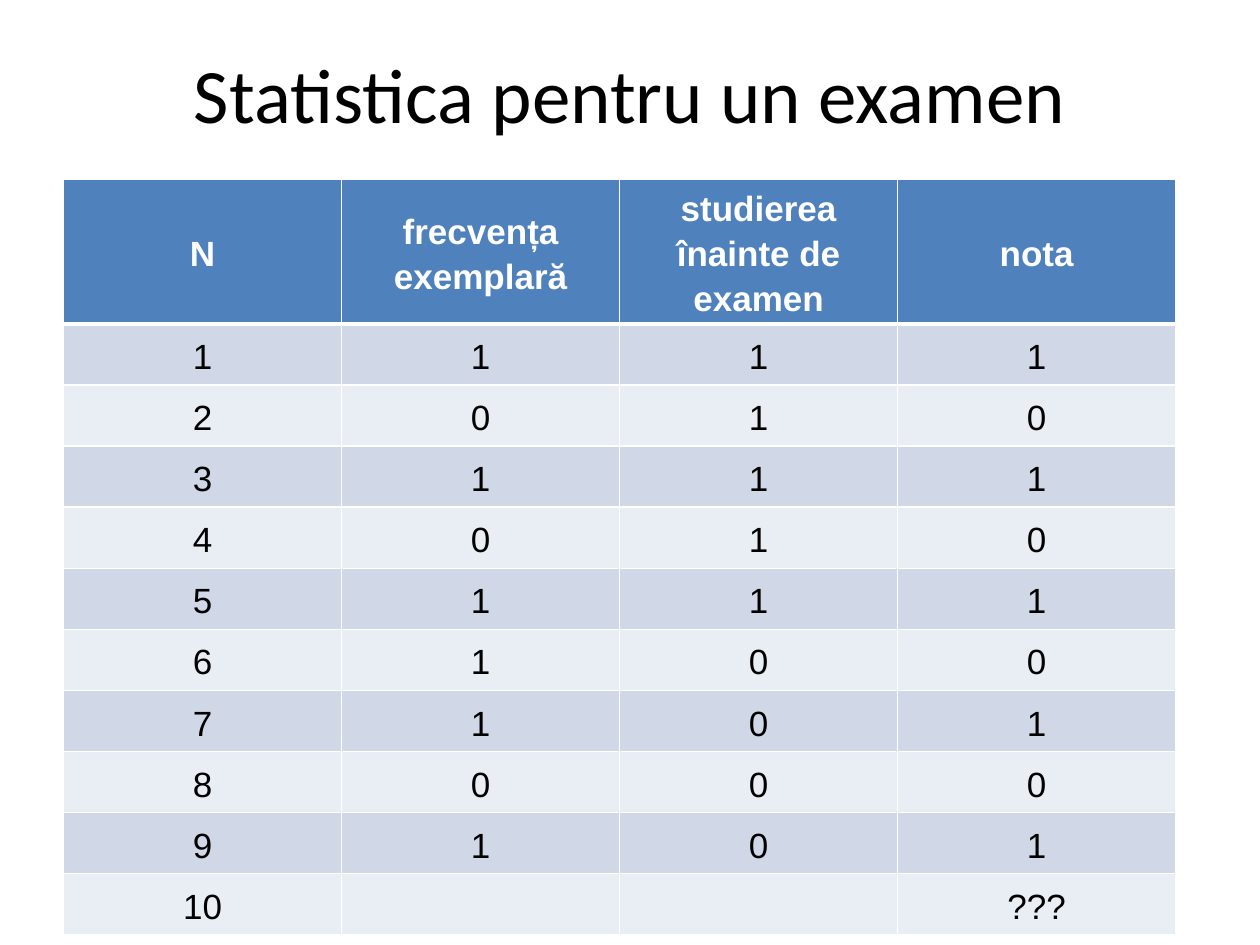
from pptx import Presentation
from pptx.dml.color import RGBColor
from pptx.enum.text import MSO_ANCHOR as Anchor, PP_ALIGN as Align
from pptx.oxml.ns import qn
from pptx.util import Pt
from lxml.etree import SubElement

HEADINGS = ["N", "frecvența exemplară", "studierea înainte de examen", "nota"]
EXAMS = [
    "1 1 1", "0 1 0", "1 1 1", "0 1 0", "1 1 1",
    "1 0 0", "1 0 1", "0 0 0", "1 0 1",
]
WHITE, BLACK = "FFFFFF", "000000"
HEADER_FILL, BAND_FILLS = "4F81BD", ("D0D8E8", "E9EDF4")


def color(hex_code):
    """Turn a hex string into a colour."""
    return RGBColor.from_string(hex_code)


def write(frame, text, size, font, hex_code, bold=False):
    """Write one centred run and return its paragraph."""
    paragraph = frame.paragraphs[0]
    paragraph.alignment = Align.CENTER
    run = paragraph.add_run()
    run.text = text
    run.font.size, run.font.name, run.font.bold = Pt(size), font, bold
    run.font.color.rgb = color(hex_code)
    return paragraph


def add_title(slide, text):
    """Add the centred slide title."""
    frame = slide.shapes.add_textbox(Pt(36), Pt(21.6), Pt(648), Pt(62.6)).text_frame
    frame.word_wrap = True
    frame.vertical_anchor = Anchor.MIDDLE
    write(frame, text, 44, "Calibri", BLACK)


def add_borders(cell, top, bottom):
    """Draw white borders, with the given widths above and below."""
    properties = cell._tc.get_or_add_tcPr()
    for side, width in (("L", 1), ("R", 1), ("T", top), ("B", bottom)):
        border = SubElement(properties, qn(f"a:ln{side}"), w=str(Pt(width)))
        paint = SubElement(border, qn("a:solidFill"))
        SubElement(paint, qn("a:srgbClr"), val=WHITE)


def fill_cell(cell, text, row_index):
    """Style a cell by its row and write its text."""
    is_header = row_index == 0
    add_borders(cell, 3 if row_index == 1 else 1, 3 if is_header else 1)
    cell.fill.solid()
    cell.fill.fore_color.rgb = color(
        HEADER_FILL if is_header else BAND_FILLS[(row_index - 1) % 2])
    if not text:
        return
    cell.vertical_anchor = Anchor.MIDDLE
    cell.margin_left = cell.margin_right = Pt(5)
    cell.margin_top = cell.margin_bottom = Pt(0)
    paragraph = write(cell.text_frame, text, 20, "Arial",
                      WHITE if is_header else BLACK, is_header)
    paragraph.line_spacing = 1.15
    paragraph.space_after = Pt(10)


def add_exam_table(slide, records):
    """Add the table of exam records, headings first."""
    holder = slide.shapes.add_table(
        len(records), len(HEADINGS), Pt(36.3), Pt(102.3), Pt(635.6), Pt(432))
    table = holder.table
    for column in table.columns:
        column.width = Pt(158.9)
    for row_index, record in enumerate(records):
        table.rows[row_index].height = Pt(34.9 if row_index else 39.6)
        for column_index, text in enumerate(record):
            fill_cell(table.cell(row_index, column_index), text, row_index)
    holder.height = Pt(432)


def main():
    """Build and save the slide."""
    deck = Presentation()
    deck.slide_width, deck.slide_height = Pt(720), Pt(540)
    slide = deck.slides.add_slide(deck.slide_layouts[6])
    add_title(slide, "Statistica pentru un examen")
    results = [[str(n), *exam.split()] for n, exam in enumerate(EXAMS, 1)]
    add_exam_table(slide, [HEADINGS, *results, ["10", "", "", "???"]])
    deck.save("out.pptx")


if __name__ == "__main__":
    main()
